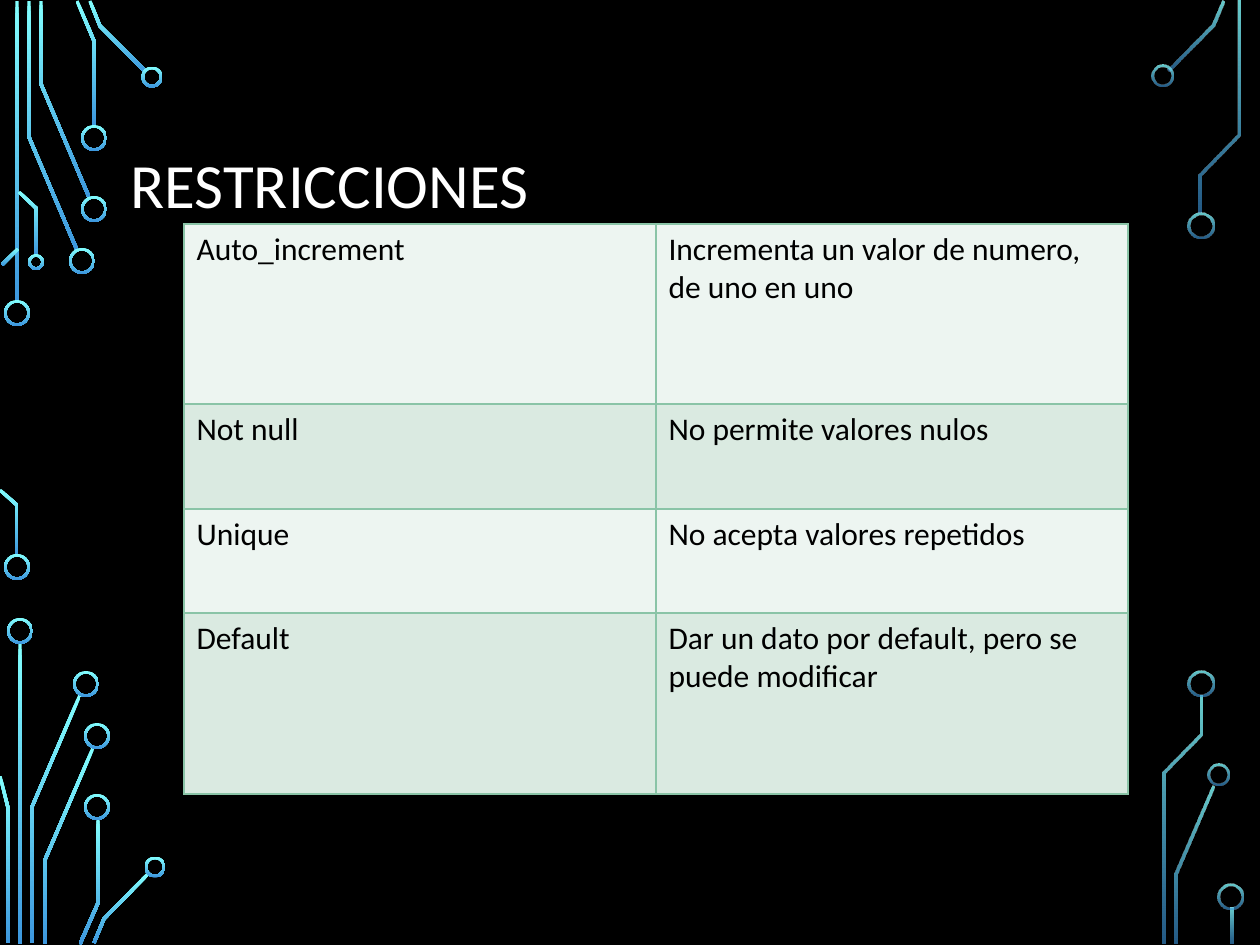
import math

from lxml import etree
from pptx import Presentation
from pptx import util as u
from pptx.dml.color import RGBColor
from pptx.enum import shapes, text
from pptx.oxml.ns import qn

SCALE = 914400 / 126
TRACE_WIDTH = 3.2
RING_WIDTH = 2.6
LEFT_TRACES = [
    [(17, 1), (17, 302)],
    [(29, 1), (29, 137), (77, 250)],
    [(41, 1), (41, 84), (89, 197)],
    [(77, 1), (94, 41), (94, 126)],
    [(90, 1), (100, 26), (146, 72)],
    [(2, 265), (18, 249)],
    [(0, 490), (17, 505), (17, 556)],
    [(19, 192), (36, 208), (36, 256)],
    [(20, 643), (20, 944)],
    [(80, 695), (32, 807), (32, 943)],
    [(0, 776), (8, 808), (8, 943)],
    [(93, 748), (45, 860), (45, 944)],
    [(98, 819), (98, 903), (80, 944)],
    [(149, 873), (104, 919), (94, 943)],
]
LEFT_RINGS = [
    (17, 313, 26), (17, 567, 26), (82, 261, 26), (94, 209, 26),
    (94, 138, 26), (152, 77, 21), (36, 262, 16), (20, 631, 26),
    (86, 684, 26), (97, 736, 26), (97, 807, 26), (155, 867, 21),
]
RIGHT_TRACES = [
    [(1223, 1), (1213, 25), (1169, 70)],
    [(1239, 1), (1239, 135), (1200, 175), (1200, 213)],
    [(1213, 786), (1176, 874), (1176, 944)],
    [(1201, 696), (1201, 735), (1164, 773), (1164, 944)],
    [(1232, 908), (1232, 944)],
]
RIGHT_RINGS = [
    (1162, 76, 22), (1201, 226, 26), (1218, 775, 22),
    (1201, 684, 26), (1231, 897, 26),
]
CONSTRAINTS = [
    ("Auto_increment", "Incrementa un valor de numero, de uno en uno"),
    ("Not null", "No permite valores nulos"),
    ("Unique", "No acepta valores repetidos"),
    ("Default", "Dar un dato por default, pero se puede modificar"),
]
ROW_HEIGHTS = [180, 105, 104, 181]


def px(length):
    """Turn pixels into EMU."""
    return u.Emu(round(length * SCALE))


def color(value):
    """Turn a hex string into a colour."""
    return RGBColor.from_string(value)


def style_glow(shape, alphas):
    """Fill a circuit part with the vertical gradient."""
    shape.shadow.inherit = False
    shape.line.fill.background()
    shape.fill.gradient()
    shape.fill.gradient_angle = 270
    for stop, value in zip(shape.fill.gradient_stops, ("82FFFF", "3D97DE")):
        stop.color.rgb = color(value)
    for node, alpha in zip(shape.element.spPr.iter(qn("a:srgbClr")), alphas):
        etree.SubElement(node, qn("a:alpha"), val=str(alpha * 1000))


def offset_points(points, distance):
    """Shift a polyline sideways, with mitred corners."""
    normals = []
    for (x1, y1), (x2, y2) in zip(points, points[1:]):
        length = math.hypot(x2 - x1, y2 - y1)
        normals.append(((y1 - y2) / length, (x2 - x1) / length))
    shifted = []
    for (x, y), (ax, ay), (bx, by) in zip(
        points, normals[:1] + normals, normals + normals[-1:]
    ):
        reach = distance / (1 + ax * bx + ay * by)
        shifted.append((px(x + (ax + bx) * reach), px(y + (ay + by) * reach)))
    return shifted


def add_trace(page, points, alphas):
    """Draw one circuit trace as a ribbon."""
    half = TRACE_WIDTH / 2
    outline = offset_points(points, half) + offset_points(points, -half)[::-1]
    builder = page.shapes.build_freeform(*outline[0])
    builder.add_line_segments(outline[1:], close=True)
    style_glow(builder.convert_to_shape(), alphas)


def add_ring(page, x, y, diameter, alphas):
    """Draw one circuit node around its centre."""
    corner = px(x - diameter / 2), px(y - diameter / 2)
    ring = page.shapes.add_shape(
        shapes.MSO_SHAPE.DONUT, *corner, px(diameter), px(diameter)
    )
    ring.adjustments[0] = RING_WIDTH / diameter
    style_glow(ring, alphas)


def add_circuit(page, traces, rings, alphas=()):
    """Draw the circuit of one side."""
    for points in traces:
        add_trace(page, points, alphas)
    for ring in rings:
        add_ring(page, *ring, alphas)


def set_text(frame, content, size, value):
    """Write one formatted paragraph."""
    frame.text = content
    para = frame.paragraphs[0]
    for span in para.runs:
        span.font.name = "Calibri"
        span.font.size = u.Pt(size)
        span.font.color.rgb = color(value)
    return para


def add_title(page, content):
    """Add the slide title."""
    box = page.shapes.add_textbox(px(118), px(86), px(1023), px(204))
    frame = box.text_frame
    frame.word_wrap = True
    frame.vertical_anchor = text.MSO_ANCHOR.MIDDLE
    set_text(frame, content, 36, "FFFFFF").line_spacing = 0.9


def set_borders(cell, value):
    """Outline a cell on all four sides."""
    properties = cell._tc.get_or_add_tcPr()
    for index, side in enumerate(("lnL", "lnR", "lnT", "lnB")):
        line = etree.Element(qn(f"a:{side}"), w=str(u.Pt(1)))
        fill = etree.SubElement(line, qn("a:solidFill"))
        etree.SubElement(fill, qn("a:srgbClr"), val=value)
        properties.insert(index, line)


def add_constraints(page):
    """Add the table of constraints."""
    table = page.shapes.add_table(
        len(CONSTRAINTS), 2, px(184), px(224), px(944), px(sum(ROW_HEIGHTS))
    ).table
    table.first_row = False
    for column in table.columns:
        column.width = px(472)
    for index, (contents, height) in enumerate(zip(CONSTRAINTS, ROW_HEIGHTS)):
        table.rows[index].height = px(height)
        for cell, content in zip(table.rows[index].cells, contents):
            set_text(cell.text_frame, content, 18, "000000")
            cell.fill.solid()
            cell.fill.fore_color.rgb = color(("EDF5F1", "DAEAE1")[index % 2])
            set_borders(cell, "8AC4A7")


def main():
    """Build the slide."""
    deck = Presentation()
    deck.slide_width, deck.slide_height = px(1260), px(945)
    page = deck.slides.add_slide(deck.slide_layouts[6])
    page.background.fill.solid()
    page.background.fill.fore_color.rgb = color("000000")
    add_circuit(page, LEFT_TRACES, LEFT_RINGS)
    add_circuit(page, RIGHT_TRACES, RIGHT_RINGS, (80, 60))
    add_title(page, "RESTRICCIONES")
    add_constraints(page)
    deck.save("out.pptx")


if __name__ == "__main__":
    main()
